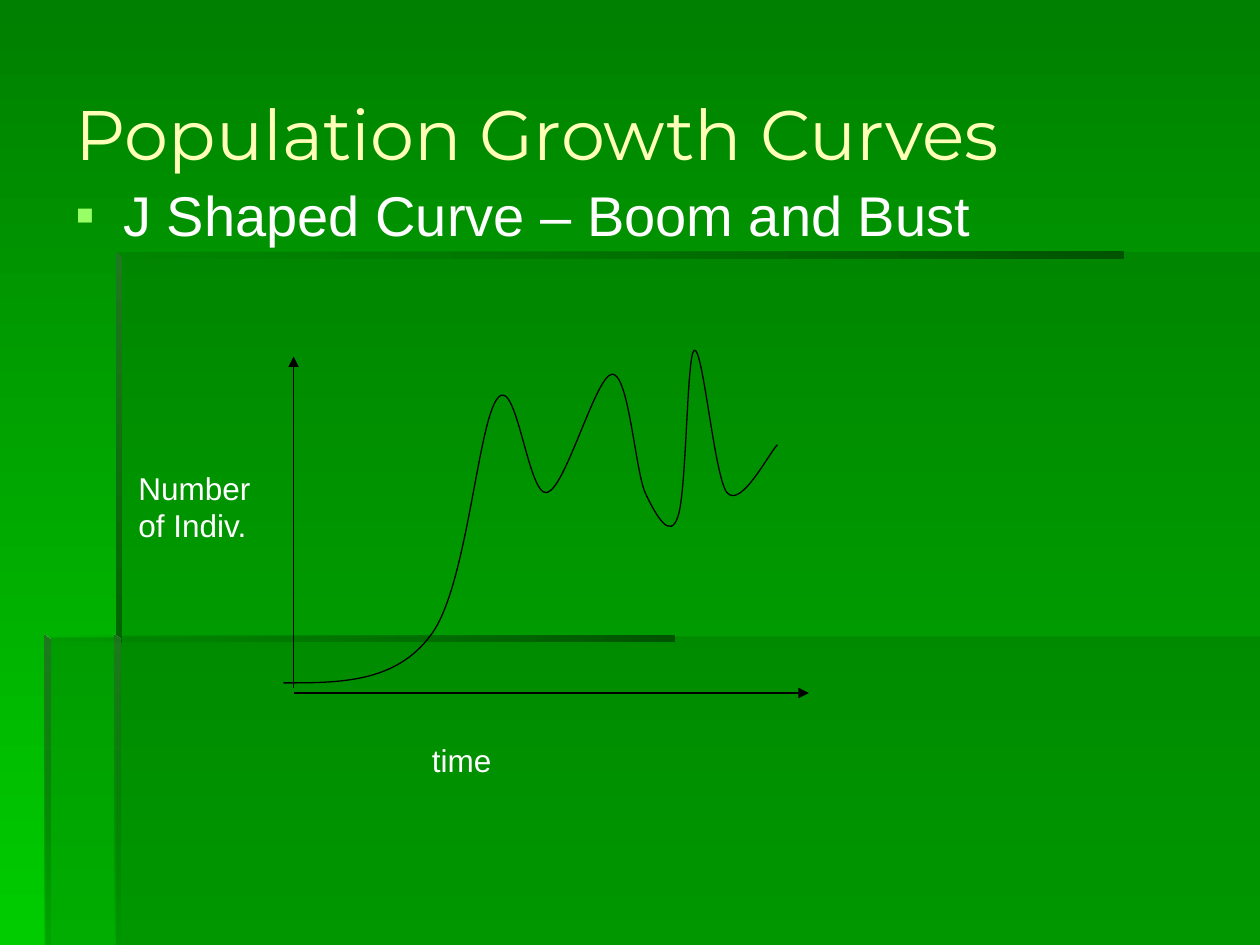
from lxml.etree import SubElement
from pptx import Presentation
from pptx.dml.color import RGBColor
from pptx.enum.shapes import MSO_CONNECTOR
from pptx.enum.text import MSO_ANCHOR, MSO_AUTO_SIZE, PP_ALIGN
from pptx.oxml.ns import qn
from pptx.util import Inches, Pt

COLUMNS, ROWS = 10, 7.5
PANEL, EDGE, HIGHLIGHT = "006600", "005400", "1F791F"
ACROSS, DOWN = 0, 270


def color(value):
    return RGBColor.from_string(value)


def add_xml(parent, tag, **attributes):
    return SubElement(parent, qn(tag), attributes)


def set_opacity(fill_element, percents):
    for element, percent in zip(fill_element.iter(qn("a:srgbClr")), percents):
        if percent < 100:
            add_xml(element, "a:alpha", val=str(percent * 1000))


def set_gradient(fill, start, end, angle):
    fill.gradient()
    fill.gradient_angle = angle
    for stop, value in zip(fill.gradient_stops, (start, end)):
        stop.color.rgb = color(value)


def write(shape, text, size=18, font="Arial", ink="FFFFFF", anchor=MSO_ANCHOR.TOP,
          top_margin=0.05, auto_size=MSO_AUTO_SIZE.NONE):
    frame = shape.text_frame
    frame.word_wrap = True
    frame.auto_size = auto_size
    frame.vertical_anchor = anchor
    frame.margin_top = Inches(top_margin)
    paragraph = frame.paragraphs[0]
    paragraph.alignment = PP_ALIGN.LEFT
    paragraph.space_before = Pt(0)
    run = paragraph.add_run()
    run.text = text
    run.font.size = Pt(size)
    run.font.name = font
    run.font.color.rgb = color(ink)
    return paragraph


class SlideBuilder:
    def __init__(self, presentation):
        self.column = presentation.slide_width / COLUMNS
        self.row = presentation.slide_height / ROWS
        self.slide = presentation.slides.add_slide(presentation.slide_layouts[1])
        self.shapes = self.slide.shapes
        self.line_color, self.line_width = "000000", Pt(0.75)

    def place(self, x, y):
        return round(x * self.column), round(y * self.row)

    def background(self, start, end):
        set_gradient(self.slide.background.fill, start, end, DOWN)

    def outline(self, points, close=True):
        start, *others = [self.place(*point) for point in points]
        builder = self.shapes.build_freeform(*start)
        builder.add_line_segments(others, close=close)
        shape = builder.convert_to_shape()
        shape.shadow.inherit = False
        return shape

    def panel(self, points, opacity=30):
        shape = self.outline(points)
        shape.line.fill.background()
        shape.fill.solid()
        shape.fill.fore_color.rgb = color(PANEL)
        set_opacity(shape._element.spPr, [opacity])

    def bar(self, points, start, end, angle, opacities=(100, 100)):
        shape = self.outline(points)
        shape.line.fill.background()
        set_gradient(shape.fill, start, end, angle)
        set_opacity(shape._element.spPr, opacities)

    def curve(self, points):
        shape = self.outline(points, close=False)
        shape.fill.background()
        self.style_line(shape.line)
        path = next(shape._element.iter(qn("a:path")))
        segments = path.findall(qn("a:lnTo"))
        for index in range(0, len(segments), 3):
            bezier = add_xml(path, "a:cubicBezTo")
            for segment in segments[index:index + 3]:
                bezier.append(segment[0])
                path.remove(segment)

    def style_line(self, line):
        line.color.rgb = color(self.line_color)
        line.width = self.line_width

    def arrow(self, start, end):
        connector = self.shapes.add_connector(
            MSO_CONNECTOR.STRAIGHT, *self.place(*start), *self.place(*end))
        self.style_line(connector.line)
        add_xml(connector.line._get_or_add_ln(), "a:tailEnd", type="triangle")
        add_xml(connector._element.spPr, "a:effectLst")

    def placeholder(self, index, text, left, top, width, height, **style):
        shape = self.slide.placeholders[index]
        self.shapes._spTree.append(shape._element)
        shape.left, shape.top = self.place(left, top)
        shape.width, shape.height = self.place(width, height)
        return write(shape, text, **style)

    def title(self, text, *box):
        self.placeholder(0, text, *box, size=40, font="Montserrat", ink="FFFFB7",
                         anchor=MSO_ANCHOR.MIDDLE)

    def bullet(self, text, *box):
        paragraph = self.placeholder(1, text, *box, size=32, top_margin=0.1)
        properties = paragraph._p.get_or_add_pPr()
        properties.set("marL", str(Inches(0.38)))
        properties.set("indent", str(Inches(-0.38)))
        add_xml(add_xml(properties, "a:buClr"), "a:srgbClr", val="99FF66")
        add_xml(properties, "a:buFont", typeface="Arial")
        add_xml(properties, "a:buChar", char="▪")

    def label(self, text, left, top, width, height, **style):
        shape = self.shapes.add_textbox(*self.place(left, top), *self.place(width, height))
        write(shape, text, **style)


def main():
    presentation = Presentation()
    presentation.slide_width, presentation.slide_height = Inches(10), Inches(7.5)
    builder = SlideBuilder(presentation)
    builder.background("008000", "00CC00")

    builder.panel([(0.92, 5.05), (0.92, ROWS), (COLUMNS, ROWS), (COLUMNS, 5.05)])
    builder.panel([(0.94, 5.06), (0.36, 5.06), (0.36, ROWS), (COLUMNS, ROWS),
                   (COLUMNS, 2), (0.94, 2)])

    def horizontal_bar(left, top, right):
        builder.bar([(left, top), (left, top + 0.05), (right, top + 0.05), (right, top)],
                    PANEL, EDGE, ACROSS, (0, 100))

    def vertical_bar(left, top, bottom, start_opacity=100, end_opacity=100):
        builder.bar([(left, top), (left, bottom), (left + 0.05, bottom),
                     (left + 0.05, top + 0.04)],
                    HIGHLIGHT, PANEL, DOWN, (start_opacity, end_opacity))

    horizontal_bar(0.92, 2, 8.92)
    vertical_bar(0.92, 2, 5.1)
    vertical_bar(0.91, 5.04, ROWS, end_opacity=0)
    horizontal_bar(0.35, 5.04, 5.35)
    vertical_bar(0.35, 5.04, ROWS, end_opacity=10)

    builder.title("Population Growth Curves", 0.5, 0.27, 9.17, 1.57)
    builder.bullet("J Shaped Curve – Boom and Bust", 0.5, 1.33, 9, 5.37)

    builder.arrow((2.33, 5.46), (2.33, 2.83))
    builder.arrow((2.33, 5.5), (6.42, 5.5))
    builder.label("Number of Indiv.", 1, 3.67, 1.13, 0.79)
    builder.curve([
        (2.25, 5.42),
        (2.7, 5.42), (3.14, 5.42), (3.42, 5.04),
        (3.71, 4.66), (3.79, 3.35), (3.95, 3.16),
        (4.1, 2.97), (4.19, 3.94), (4.34, 3.91),
        (4.49, 3.88), (4.73, 2.97), (4.86, 2.97),
        (4.99, 2.97), (5.04, 3.72), (5.12, 3.91),
        (5.21, 4.1), (5.32, 4.29), (5.38, 4.1),
        (5.45, 3.91), (5.45, 2.81), (5.51, 2.78),
        (5.58, 2.75), (5.67, 3.79), (5.77, 3.91),
        (5.88, 4.04), (6.1, 3.6), (6.17, 3.53),
    ])
    builder.label("time", 3.33, 5.83, 1.58, 0.4, auto_size=MSO_AUTO_SIZE.SHAPE_TO_FIT_TEXT)
    presentation.save("out.pptx")


if __name__ == "__main__":
    main()
